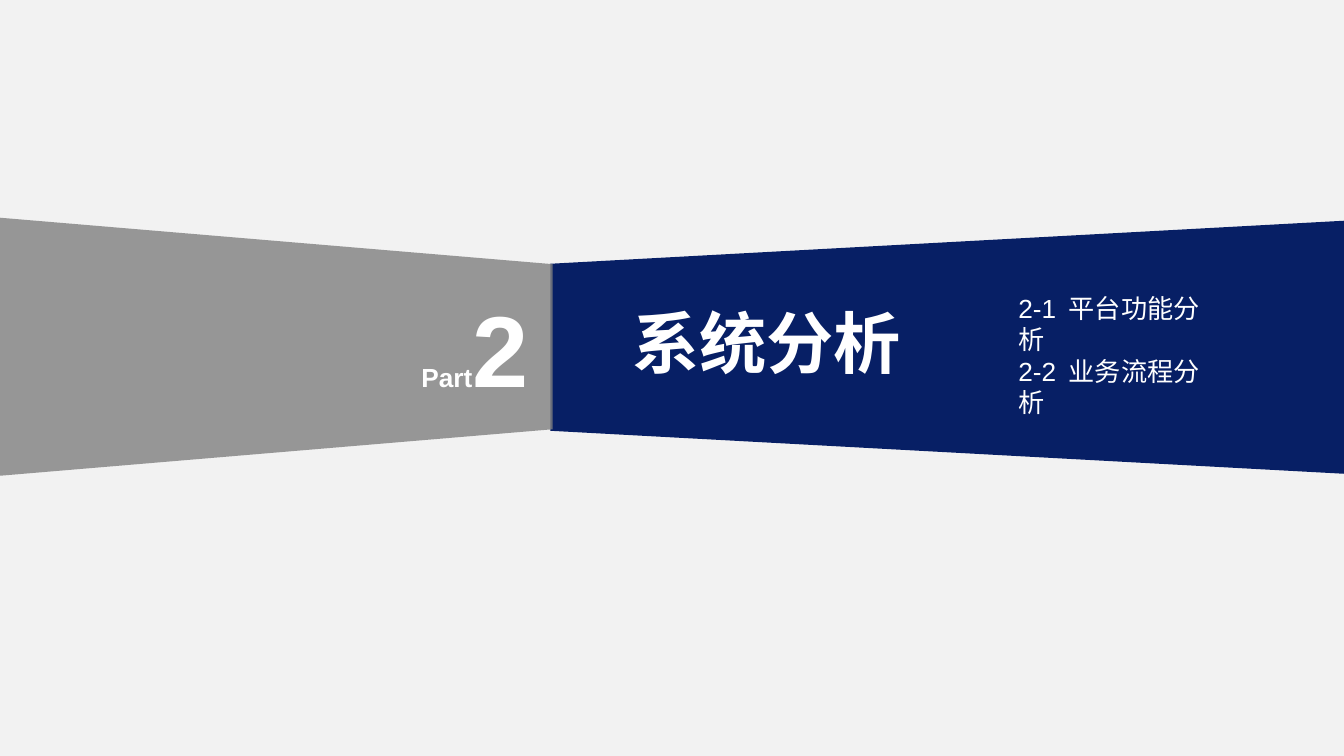
from pptx import Presentation
from pptx.dml.color import RGBColor
from pptx.enum.shapes import MSO_SHAPE as Preset
from pptx.enum.text import MSO_ANCHOR as Anchor, MSO_AUTO_SIZE as AutoSize, PP_ALIGN as Align
from pptx.oxml.ns import qn
from pptx.util import Inches, Pt
from lxml.etree import SubElement

FONT = "Arial"
WHITE, NAVY, GREY, PAPER = "FFFFFF", "071F65", "808080", "F2F2F2"
SMALL, HEADING, NUMERAL = 18.7, 48, 72


def paint(color, value):
    color.rgb = RGBColor.from_string(value)


class SectionSlide:
    """Draws a section divider; lengths are percentages of the slide's size."""

    def __init__(self, presentation):
        self.width, self.height = presentation.slide_width, presentation.slide_height
        self.slide = presentation.slides.add_slide(presentation.slide_layouts[1])
        self.title, self.body = self.slide.placeholders
        background = self.slide.background.fill
        background.solid()
        paint(background.fore_color, PAPER)

    def across(self, share):
        return round(self.width * share / 100)

    def down(self, share):
        return round(self.height * share / 100)

    def panel(self, left, middle, width, height, rotation, slant, color, opacity=100):
        long_side, short_side = self.across(width), self.down(height)
        center_x = self.across(left) + long_side // 2
        shape = self.slide.shapes.add_shape(
            Preset.TRAPEZOID, center_x - short_side // 2, self.down(middle) - long_side // 2,
            short_side, long_side)
        shape.rotation = rotation
        shape.adjustments[0] = slant
        shape.shadow.inherit = False
        shape.line.fill.background()
        shape.fill.solid()
        paint(shape.fill.fore_color, color)
        if opacity < 100:
            fill_color = shape.element.spPr.find(qn("a:solidFill"))[0]
            SubElement(fill_color, qn("a:alpha"), val=str(opacity * 1000))

    def place(self, shape, left, top, width, height):
        shape.left, shape.top = self.across(left), self.down(top)
        shape.width, shape.height = self.across(width), self.down(height)
        shape.element.getparent().append(shape.element)
        frame = shape.text_frame
        frame.word_wrap = True
        frame.auto_size = AutoSize.NONE
        frame.vertical_anchor = Anchor.TOP
        frame.margin_right = 0
        return frame

    def style(self, run, size, bold):
        run.font.name, run.font.size, run.font.bold = FONT, Pt(size), bold
        paint(run.font.color, WHITE)

    def number(self, label, numeral, *box):
        frame = self.place(self.slide.shapes.add_textbox(0, 0, 0, 0), *box)
        paragraph = frame.paragraphs[0]
        for text, size in ((label, SMALL), (numeral, NUMERAL)):
            run = paragraph.add_run()
            run.text = text
            self.style(run, size, True)

    def heading(self, text, *box):
        frame = self.place(self.title, *box)
        frame.text = text
        frame.paragraphs[0].alignment = Align.LEFT
        self.style(frame.paragraphs[0].runs[0], HEADING, True)

    def contents(self, entries, tab, *box):
        frame = self.place(self.body, *box)
        frame.margin_right = Inches(0.1)
        frame.text = "\n".join("\t".join(entry) for entry in entries)
        for paragraph in frame.paragraphs:
            paragraph.space_before = Pt(0)
            properties = paragraph._p.get_or_add_pPr()
            properties.set("marL", "0")
            properties.set("indent", "0")
            SubElement(properties, qn("a:buNone"))
            stops = SubElement(properties, qn("a:tabLst"))
            SubElement(stops, qn("a:tab"), pos=str(self.across(tab)), algn="l")
            for run in paragraph.runs:
                self.style(run, SMALL, False)


def main():
    presentation = Presentation()
    presentation.slide_width, presentation.slide_height = Inches(13.33), Inches(7.5)
    section = SectionSlide(presentation)
    section.panel(40.96, 45.93, 59.04, 33.47, 270, 0.17, NAVY)
    section.panel(0, 45.87, 41.11, 34.13, 90, 0.18, GREY, opacity=80)
    section.number("Part", "2", 30.61, 37.33, 9.53, 17.47)
    section.heading("系统分析", 46.29, 39.2, 21.68, 12.13)
    section.contents([("2-1", "平台功能分析"), ("2-2", "业务流程分析")], 3.8,
                     75.02, 38, 16.65, 17.33)
    presentation.save("out.pptx")


if __name__ == "__main__":
    main()
